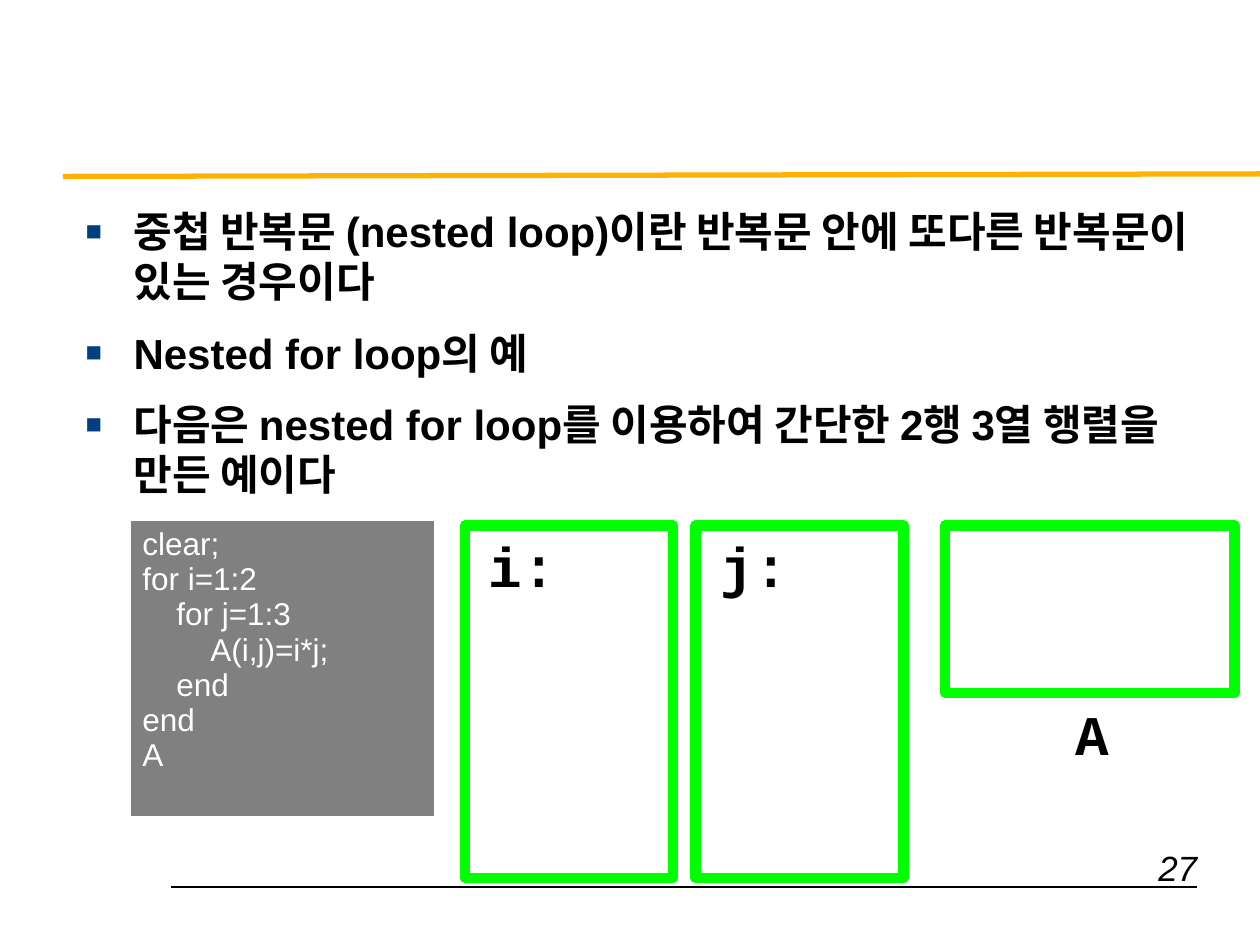
from dataclasses import dataclass

from lxml.etree import SubElement
from pptx import Presentation
from pptx.dml.color import RGBColor
from pptx.enum.shapes import MSO_CONNECTOR, MSO_SHAPE
from pptx.enum.text import MSO_ANCHOR, MSO_AUTO_SIZE, PP_ALIGN
from pptx.oxml.ns import qn
from pptx.util import Inches, Pt

COLORS = {
    "text": "000000",
    "rule": "FFB300",
    "bullet": "004080",
    "code_fill": "808080",
    "code_text": "FFFFFF",
    "frame": "00FF00",
}


@dataclass
class Rule:
    start: tuple[float, float]
    end: tuple[float, float]
    color: str
    width: float


@dataclass
class VariableBox:
    name: str
    left: float
    width: float
    height: float
    label_left: float
    label_top: float


@dataclass
class CodeLine:
    text: str
    level: int = 0


RULES = [
    Rule((1.36, 7.04), (9.5, 7.04), "text", 0.75),
    Rule((0.5, 1.4), (10, 1.38), "rule", 3),
]
BULLETS = [
    "중첩 반복문 (nested loop)이란 반복문 안에 또다른 반복문이 있는 경우이다",
    "Nested for loop의 예",
    "다음은 nested for loop를 이용하여 간단한 2행 3열 행렬을 만든 예이다",
]
CODE = [
    CodeLine("clear;"),
    CodeLine("for i=1:2"),
    CodeLine("for j=1:3", 1),
    CodeLine("A(i,j)=i*j;", 2),
    CodeLine("end", 1),
    CodeLine("end"),
    CodeLine("A"),
]
BOX_TOP = 4.17
BOXES = [
    VariableBox("i:", 3.69, 1.65, 2.8, 3.78, BOX_TOP),
    VariableBox("j:", 5.52, 1.65, 2.8, 5.62, BOX_TOP),
    VariableBox("A", 7.5, 2.3, 1.33, 8.44, 5.5),
]


def color(name: str) -> RGBColor:
    return RGBColor.from_string(COLORS[name])


def format_runs(paragraph, size: float, color_name: str = "text", name: str = "Arial",
                bold: bool = False, italic: bool = False) -> None:
    for run in paragraph.runs:
        run.font.size = Pt(size)
        run.font.name = name
        run.font.bold = bold
        run.font.italic = italic
        run.font.color.rgb = color(color_name)


def add_rule(slide, rule: Rule) -> None:
    connector = slide.shapes.add_connector(
        MSO_CONNECTOR.STRAIGHT, *(Inches(value) for value in rule.start + rule.end))
    connector.line.color.rgb = color(rule.color)
    connector.line.width = Pt(rule.width)
    SubElement(connector._element.spPr, qn("a:effectLst"))


def set_bullet(paragraph) -> None:
    properties = paragraph._p.get_or_add_pPr()
    properties.set("marL", str(Inches(0.38)))
    properties.set("indent", str(Inches(-0.38)))
    bullet_color = SubElement(properties, qn("a:buClr"))
    SubElement(bullet_color, qn("a:srgbClr"), val=COLORS["bullet"])
    SubElement(properties, qn("a:buSzPct"), val="65000")
    SubElement(properties, qn("a:buFont"), typeface="Arial")
    SubElement(properties, qn("a:buChar"), char="■")


def fill_body(body) -> None:
    body.left, body.top = Inches(0.58), Inches(1.58)
    body.width, body.height = Inches(9.12), Inches(4.54)
    text_frame = body.text_frame
    text_frame.text = "\n".join(BULLETS)
    text_frame.auto_size = MSO_AUTO_SIZE.NONE
    text_frame.vertical_anchor = MSO_ANCHOR.TOP
    for paragraph in text_frame.paragraphs:
        paragraph.space_before = Pt(12)
        set_bullet(paragraph)
        format_runs(paragraph, 24, bold=True)


def add_text(slide, text: str, left: float, top: float, width: float, height: float):
    text_box = slide.shapes.add_textbox(
        Inches(left), Inches(top), Inches(width), Inches(height))
    text_box.text_frame.word_wrap = True
    text_box.text_frame.text = text
    return text_box.text_frame.paragraphs[0]


def add_code_table(slide) -> None:
    frame = slide.shapes.add_table(
        1, 1, Inches(1.03), Inches(4.13), Inches(2.42), Inches(2.35))
    frame.table.first_row = False
    frame.table.horz_banding = False
    cell = frame.table.cell(0, 0)
    cell.fill.solid()
    cell.fill.fore_color.rgb = color("code_fill")
    cell.text_frame.text = "\n".join(line.text for line in CODE)
    for paragraph, line in zip(cell.text_frame.paragraphs, CODE):
        if line.level:
            paragraph._p.get_or_add_pPr().set("marL", str(Inches(0.27 * line.level)))
        format_runs(paragraph, 18, "code_text")


def add_variable_box(slide, box: VariableBox) -> None:
    shape = slide.shapes.add_shape(
        MSO_SHAPE.RECTANGLE, Inches(box.left), Inches(BOX_TOP),
        Inches(box.width), Inches(box.height))
    shape.shadow.inherit = False
    shape.fill.background()
    shape.line.color.rgb = color("frame")
    shape.line.width = Pt(6)
    label = add_text(slide, box.name, box.label_left, box.label_top, 0.88, 0.64)
    format_runs(label, 32, name="Courier New", bold=True)


presentation = Presentation()
presentation.slide_width, presentation.slide_height = Inches(10), Inches(7.5)
slide = presentation.slides.add_slide(presentation.slide_layouts[1])

# The title is unused on this slide
title = slide.shapes.title._element
title.getparent().remove(title)

# Rules, bullet list and page number
for rule in RULES:
    add_rule(slide, rule)
fill_body(slide.placeholders[1])
page_number = add_text(slide, "27", 7.42, 6.67, 2.18, 0.38)
page_number.alignment = PP_ALIGN.RIGHT
format_runs(page_number, 20, italic=True)

# Code sample and the variables it fills
add_code_table(slide)
for box in BOXES:
    add_variable_box(slide, box)

presentation.save("out.pptx")
